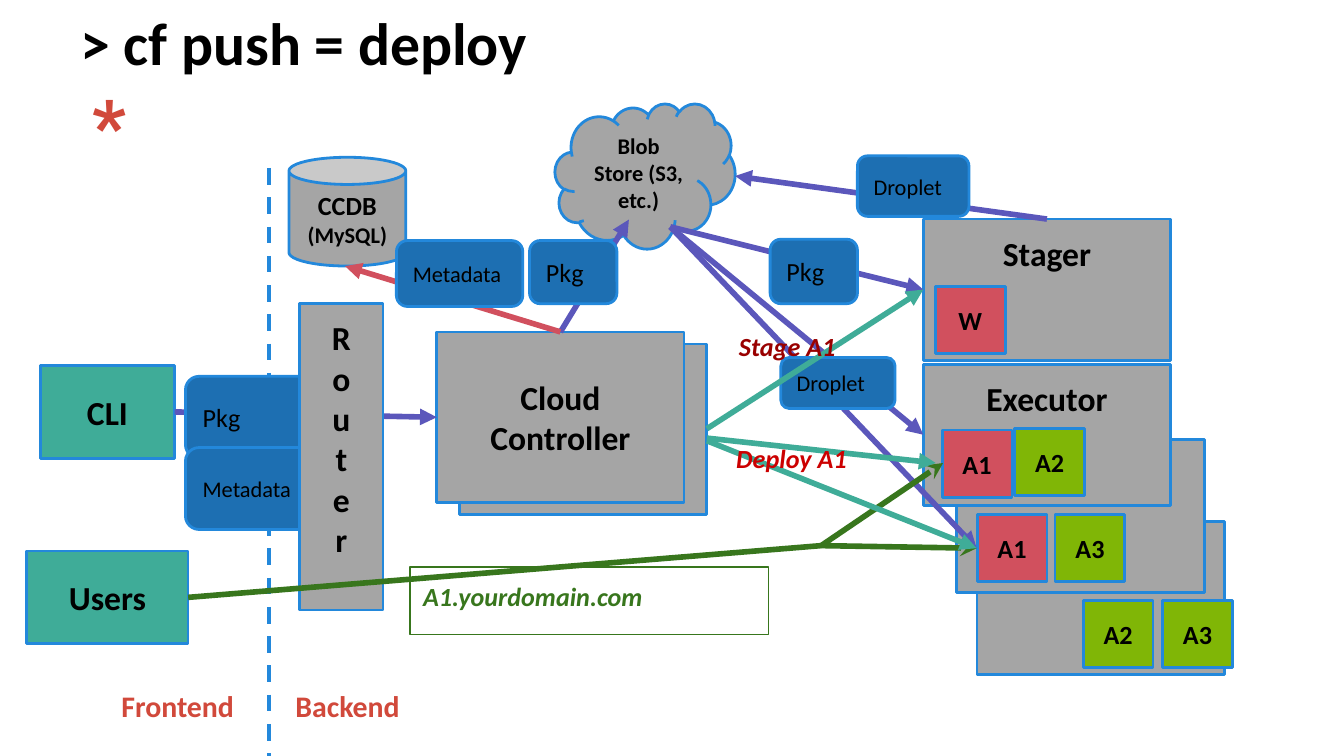
import collections

import pptx
import pptx.dml.color
import pptx.enum.dml
import pptx.enum.shapes
import pptx.enum.text
import pptx.oxml
import pptx.oxml.ns
import pptx.util

COLORS = {
    "black": "000000", "gray": "A5A5A5", "outline": "2388DB", "teal": "3FAC98",
    "red": "D1505E", "lime": "80B606", "payload": "1D6FB2", "purple": "5B57BB",
    "green": "38761D", "coral": "D1493B", "stage": "990000", "deploy": "CC0000",
}
SLIDE_WIDTH = pptx.util.Inches(10)
SLIDE_HEIGHT = pptx.util.Inches(5.625)
UNIT = SLIDE_WIDTH / 100  # one column or row of the square grid
SHAPES = pptx.enum.shapes.MSO_SHAPE
ALIGN = pptx.enum.text.PP_ALIGN
ANCHOR = pptx.enum.text.MSO_ANCHOR


class Box(collections.namedtuple("Box", "left top width height")):
    def offset(self, x, y, width, height):
        """Return a box offset from this one by grid columns and rows."""
        return Box(self.left + x, self.top + y, width, height)

    def point(self, x, y):
        """Return the point at the given shares of the width and height."""
        return self.left + x * self.width, self.top + y * self.height

    def lengths(self):
        return [round(value * UNIT) for value in self]


def rgb(color):
    return pptx.dml.color.RGBColor.from_string(COLORS[color])


def write(shape, text, size, color="black", bold=True, italic=False, align=ALIGN.CENTER,
          anchor=ANCHOR.MIDDLE, font="Calibri", inset=0.1):
    frame = shape.text_frame
    frame.text = text
    frame.word_wrap = True
    frame.auto_size = pptx.enum.text.MSO_AUTO_SIZE.NONE
    frame.vertical_anchor = anchor
    frame.margin_left = frame.margin_right = pptx.util.Inches(0.1)
    frame.margin_top = frame.margin_bottom = pptx.util.Inches(inset)
    for paragraph in frame.paragraphs:
        paragraph.alignment = align
        paragraph.font.name = font
        paragraph.font.size = pptx.util.Pt(size)
        paragraph.font.bold = bold
        paragraph.font.italic = italic
        paragraph.font.color.rgb = rgb(color)


def add_box(slide, box, fill, text="", size=18, kind=SHAPES.RECTANGLE, outline="outline",
            weight=1.5, **style):
    shape = slide.shapes.add_shape(kind, *box.lengths())
    shape.shadow.inherit = False
    if fill:
        shape.fill.solid()
        shape.fill.fore_color.rgb = rgb(fill)
    else:
        shape.fill.background()
    shape.line.color.rgb = rgb(outline)
    shape.line.width = pptx.util.Pt(weight)
    if text:
        write(shape, text, size, **style)
    return shape


def add_payload(slide, box, text):
    add_box(slide, box, "payload", text, 14 if text == "Pkg" else 12,
            SHAPES.ROUNDED_RECTANGLE, bold=False, align=ALIGN.LEFT)


def add_label(slide, box, text, size, color, **style):
    label = slide.shapes.add_textbox(*box.lengths())
    write(label, text, size, color, **{"align": ALIGN.LEFT, "anchor": ANCHOR.TOP, **style})


def add_line(slide, start, end, color, head=None, weight=3):
    line = slide.shapes.add_connector(
        pptx.enum.shapes.MSO_CONNECTOR.STRAIGHT,
        *[round(value * UNIT) for value in (*start, *end)])
    line.line.color.rgb = rgb(color)
    line.line.width = pptx.util.Pt(weight)
    properties = line._element.spPr
    namespace = pptx.oxml.ns.nsdecls("a")
    if head:
        properties.get_or_add_ln().append(
            pptx.oxml.parse_xml(f'<a:tailEnd {namespace} type="{head}" w="med" len="med"/>'))
    properties.append(pptx.oxml.parse_xml(f"<a:effectLst {namespace}/>"))
    return line


def draw_heading(slide, box):
    add_label(slide, box.offset(0.9, 3.1, 4.7, 7.7), "*", 40, "coral", font="Roboto", inset=0.05)
    title = slide.shapes.title
    title.left, title.top, title.width, title.height = box.lengths()
    write(title, "> cf push = deploy", 32, align=ALIGN.LEFT, anchor=ANCHOR.BOTTOM)


def draw_cells(slide, box):
    """Draw the executor stack, back to front, and the stager above it."""
    nodes = {
        "third": (box.offset(4, 22.5, 18.4, 11.4), "",
                  [(7.9, 5.9, "A2"), (13.8, 5.9, "A3")]),
        "second": (box.offset(2.5, 16.4, 18.4, 11.4), "",
                   [(7.3, 5.6, "A3"), (1.5, 5.6, "A1")]),
        "executor": (box.offset(0, 10.8, 18.4, 10.5), "Executor",
                     [(6.8, 4.8, "A2"), (1.4, 4.9, "A1")]),
        "stager": (box.offset(0, 0, 18.4, 10.5), "Stager", [(0.9, 5, "W")]),
    }
    for node, name, chips in nodes.values():
        add_box(slide, node, "gray", name, anchor=ANCHOR.TOP)
        for x, y, chip in chips:
            add_box(slide, node.offset(x, y, 5.2, 5), "red" if chip in ("A1", "W") else "lime", chip, 14)
    return {name: node[0] for name, node in nodes.items()}


def draw_controller(slide, box):
    add_box(slide, box.offset(1.7, 0.9, box.width, box.height), "gray")
    add_box(slide, box, "gray", "Cloud Controller")


def draw_stores(slide, database, blob):
    can = add_box(slide, database, "gray", "CCDB\n(MySQL)", 14, SHAPES.CAN)
    can.text_frame.paragraphs[1].font.size = pptx.util.Pt(12)
    add_box(slide, blob, "gray", "Blob Store (S3, etc.)", 12, SHAPES.CLOUD)


def draw_boundary(slide, box):
    line = add_line(slide, box.point(0.5, 0), box.point(0.5, 1), "outline", weight=2.25)
    line.line.dash_style = pptx.enum.dml.MSO_LINE.DASH
    for x, text, align in ((-15.9, "Frontend", ALIGN.RIGHT), (1, "Backend", ALIGN.LEFT)):
        add_label(slide, box.offset(x, 37.7, 14.3, 3.9), text, 16, "coral", align=align)


def draw_upload(slide, client, router, controller):
    add_line(slide, client.point(1, 0.5), controller.point(0, 0.5), "purple", "triangle")
    for row, text in enumerate(("Pkg", "Metadata")):
        add_payload(slide, client.offset(10.8, 0.8 + 5.3 * row, 10.6, 6.1), text)
    add_box(slide, router, "gray", "\n".join("Router"), anchor=ANCHOR.TOP)


def draw_storing(slide, controller, database, blob):
    start = controller.point(0.5, 0)
    add_line(slide, start, blob.point(0.41, 0.8), "purple", "triangle")
    add_payload(slide, controller.offset(6.9, -6.8, 6.5, 4.7), "Pkg")
    add_line(slide, start, database.point(0.48, 1), "red", "triangle")
    add_payload(slide, controller.offset(-3, -6.8, 9.4, 4.9), "Metadata")


def draw_staging(slide, blob, cells):
    """Draw package and droplet transfers between blob store and cells."""
    source = blob.point(0.64, 0.85)
    stager = cells["stager"]
    add_line(slide, source, stager.point(0, 0.5), "purple", "triangle")
    add_payload(slide, blob.offset(16, 10.1, 6.5, 4.8), "Pkg")
    add_line(slide, stager.point(0.5, 0), blob.point(1, 0.5), "purple", "triangle")
    add_payload(slide, blob.offset(22.5, 3.9, 8.3, 4.5), "Droplet")
    for target in (cells["executor"].point(0, 0.5), cells["second"].point(0.08, 0.71)):
        add_line(slide, source, target, "purple", "triangle")
    add_payload(slide, blob.offset(16.8, 18.9, 8.5, 3.8), "Droplet")


def draw_traffic(slide, users, cells):
    fork = (61.1, 40.6)
    add_box(slide, users, "teal", "Users")
    add_line(slide, users.point(1, 0.5), fork, "green")
    for target in (cells["executor"].point(0.08, 0.7), cells["second"].point(0.08, 0.71)):
        add_line(slide, fork, target, "green", "stealth")
    add_box(slide, users.offset(28.5, 1.2, 26.7, 5), None, "A1.yourdomain.com", 14, outline="green",
            weight=0.75, color="green", italic=True, align=ALIGN.LEFT, anchor=ANCHOR.TOP)


def draw_commands(slide, controller, cells):
    x = controller.left + 20.1
    add_line(slide, (x, 31.9), cells["stager"].point(0, 0.5), "teal", "triangle")
    add_label(slide, controller.offset(21.5, -1.1, 13.8, 5), "Stage A1", 14, "stage", italic=True)
    add_line(slide, (x, 32.6), cells["executor"].point(0.05, 0.7), "teal", "triangle")
    add_line(slide, (x, 32.8), cells["second"].point(0.08, 0.71), "teal", "triangle")
    add_label(slide, controller.offset(21.3, 7.2, 12, 5), "Deploy A1", 14, "deploy", italic=True)


def main():
    presentation = pptx.Presentation()
    presentation.slide_width, presentation.slide_height = SLIDE_WIDTH, SLIDE_HEIGHT
    slide = presentation.slides.add_slide(presentation.slide_layouts[5])
    client = Box(3, 27.2, 10, 6.9)
    users = Box(2, 41, 12, 6.9)
    router = Box(22.3, 22.6, 6.2, 22.8)
    controller = Box(32.5, 24.7, 18.4, 12.7)
    database = Box(21.5, 11.7, 8.7, 8.1)
    blob = Box(41.3, 7.7, 13.4, 10.8)

    draw_heading(slide, Box(5, 2.3, 90, 4.5))
    cells = draw_cells(slide, Box(68.7, 16.3, 22.4, 33.9))
    add_box(slide, client, "teal", "CLI")
    draw_controller(slide, controller)
    draw_boundary(slide, Box(20, 12.5, 0, 43.75))
    draw_stores(slide, database, blob)
    draw_upload(slide, client, router, controller)
    draw_storing(slide, controller, database, blob)
    draw_staging(slide, blob, cells)
    draw_traffic(slide, users, cells)
    draw_commands(slide, controller, cells)
    presentation.save("out.pptx")


if __name__ == "__main__":
    main()
